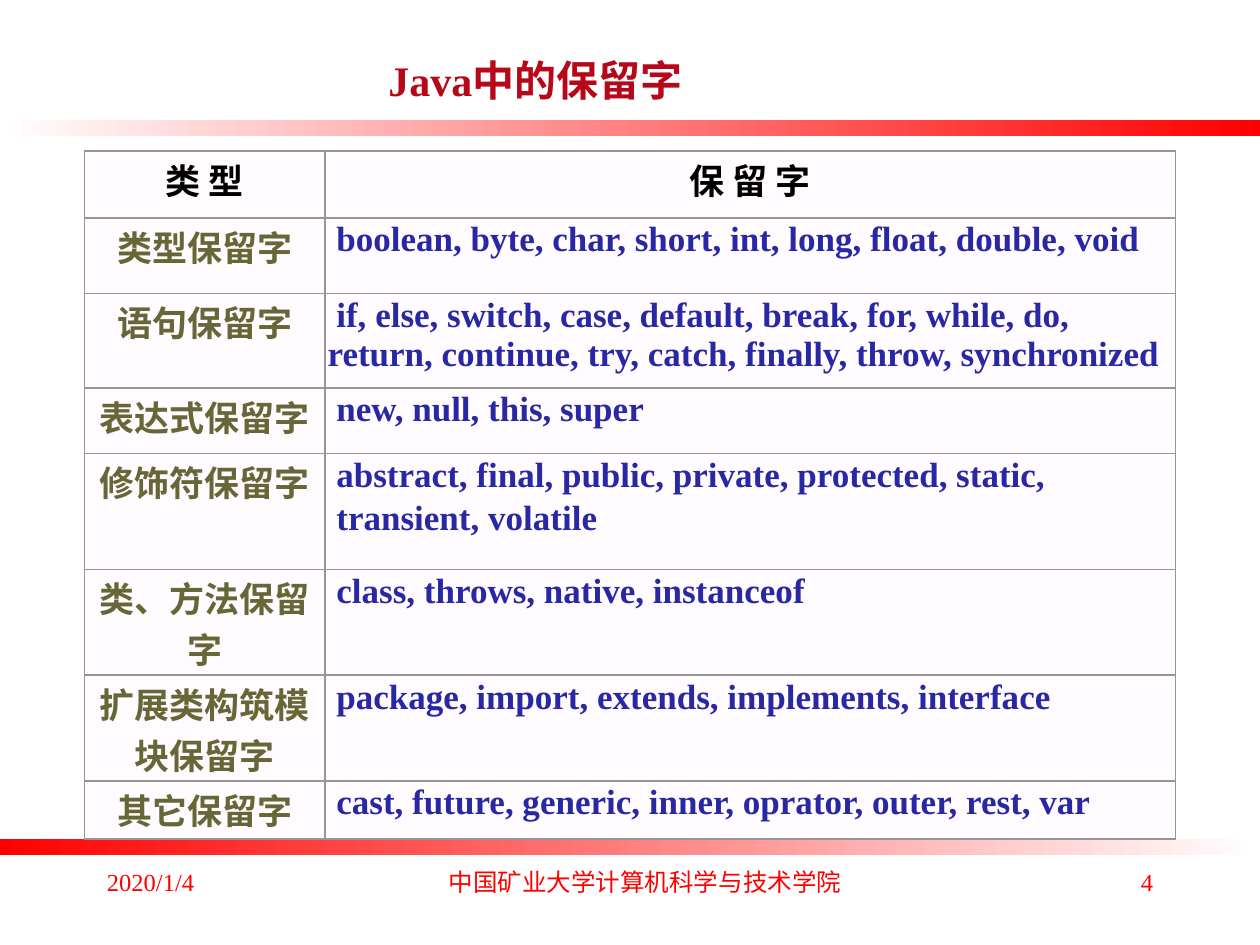
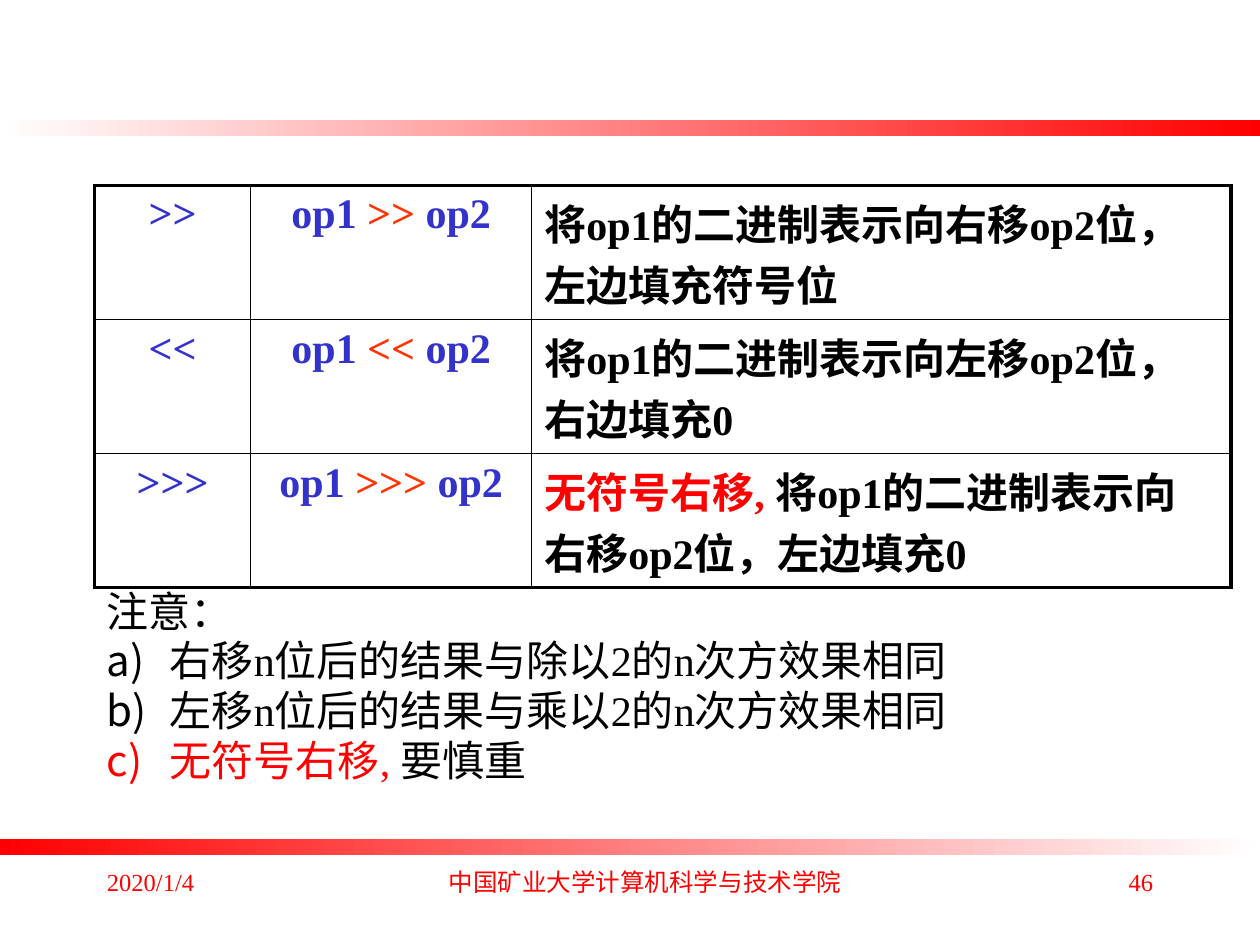
from dataclasses import dataclass
from lxml.etree import SubElement
from pptx import Presentation
from pptx.dml.color import RGBColor
from pptx.enum.shapes import MSO_SHAPE
from pptx.enum.text import MSO_ANCHOR, PP_ALIGN
from pptx.oxml.ns import qn
from pptx.util import Emu, Inches, Pt

RED = RGBColor(0xFF, 0x00, 0x00)
WHITE = RGBColor(0xFF, 0xFF, 0xFF)
BLACK = RGBColor(0x00, 0x00, 0x00)
CRIMSON = RGBColor(0xB6, 0x08, 0x19)
OLIVE = RGBColor(0x67, 0x66, 0x37)
NAVY = RGBColor(0x28, 0x28, 0xA4)
BLUE = RGBColor(0x33, 0x33, 0xCC)
ORANGE = RGBColor(0xFF, 0x33, 0x00)
GRAY = RGBColor(0x96, 0x96, 0x96)
PALE = RGBColor(0xFF, 0xFB, 0xFE)

SERIF = "Times New Roman"
HAN = "Noto Sans CJK SC"
LEFT, MID, RIGHT = PP_ALIGN.LEFT, PP_ALIGN.CENTER, PP_ALIGN.RIGHT

WIDE, HIGH = Inches(10), Inches(7.5)
COLS, ROWS = 100, 75


@dataclass(frozen=True)
class Box:
    col: float
    row: float
    wide: float
    high: float


@dataclass(frozen=True)
class Run:
    text: str
    color: RGBColor
    face: str = SERIF


@dataclass(frozen=True)
class Para:
    runs: tuple[Run, ...]
    align: PP_ALIGN = LEFT
    gap: float = 0
    pitch: float = 1
    margin: float = 0
    indent: float = 0
    number: str = ""


@dataclass(frozen=True)
class Band:
    box: Box
    start: RGBColor
    end: RGBColor


@dataclass(frozen=True)
class Label:
    box: Box
    paras: tuple[Para, ...]
    size: float
    bold: bool = False
    anchor: MSO_ANCHOR = MSO_ANCHOR.TOP


@dataclass(frozen=True)
class Grid:
    col: float
    row: float
    cols: tuple[float, ...]
    rows: tuple[float, ...]
    cells: tuple[tuple[tuple[Para, ...], ...], ...]
    size: float
    fill: RGBColor
    line: RGBColor
    inner: float
    outer: float
    inset: tuple[float, float]


def across(cols: float) -> Emu:
    return Emu(round(WIDE * cols / COLS))


def down(rows: float) -> Emu:
    return Emu(round(HIGH * rows / ROWS))


def place(box: Box) -> tuple[Emu, Emu, Emu, Emu]:
    return across(box.col), down(box.row), across(box.wide), down(box.high)


def write(frame, paras: tuple[Para, ...], size: float, bold: bool) -> None:
    frame.word_wrap = True
    for i, item in enumerate(paras):
        para = frame.paragraphs[0] if i == 0 else frame.add_paragraph()
        props = para._p.get_or_add_pPr()
        props.set("marL", str(across(item.margin)))
        props.set("indent", str(across(item.indent)))
        if item.number:
            SubElement(props, qn("a:buFont")).set("typeface", HAN)
            SubElement(props, qn("a:buAutoNum")).set("type", item.number)
        para.alignment = item.align
        para.line_spacing = item.pitch
        if i:
            para.space_before = Pt(item.gap)
        for part in item.runs:
            run = para.add_run()
            run.text = part.text
            run.font.name = part.face
            run.font.size = Pt(size)
            run.font.bold = bold
            run.font.color.rgb = part.color
            SubElement(run._r.get_or_add_rPr(), qn("a:ea")).set("typeface", HAN)


def draw_band(slide, band: Band) -> None:
    shape = slide.shapes.add_shape(MSO_SHAPE.RECTANGLE, *place(band.box))
    shape.shadow.inherit = False
    shape.line.fill.background()
    shape.fill.gradient()
    shape.fill.gradient_angle = 0
    for stop, color in zip(shape.fill.gradient_stops, (band.start, band.end)):
        stop.color.rgb = color


def draw_label(slide, label: Label) -> None:
    frame = slide.shapes.add_textbox(*place(label.box)).text_frame
    frame.vertical_anchor = label.anchor
    write(frame, label.paras, label.size, label.bold)


def edge(cell, side: str, width: float, color: RGBColor) -> None:
    line = SubElement(cell._tc.get_or_add_tcPr(), qn(f"a:ln{side}"))
    line.set("w", str(Pt(width)))
    fill = SubElement(line, qn("a:solidFill"))
    SubElement(fill, qn("a:srgbClr")).set("val", str(color))


def draw_grid(slide, grid: Grid) -> None:
    box = Box(grid.col, grid.row, sum(grid.cols), sum(grid.rows))
    tall, broad = len(grid.rows), len(grid.cols)
    table = slide.shapes.add_table(tall, broad, *place(box)).table
    table.first_row = table.horz_banding = False
    for col, wide in zip(table.columns, grid.cols):
        col.width = across(wide)
    for row, high in zip(table.rows, grid.rows):
        row.height = down(high)
    for r, line in enumerate(grid.cells):
        for c, paras in enumerate(line):
            cell = table.cell(r, c)
            rims = {"L": c == 0, "R": c == broad - 1, "T": r == 0, "B": r == tall - 1}
            for side, rim in rims.items():
                edge(cell, side, grid.outer if rim else grid.inner, grid.line)
            cell.fill.solid()
            cell.fill.fore_color.rgb = grid.fill
            cell.margin_left = cell.margin_right = across(grid.inset[0])
            cell.margin_top = cell.margin_bottom = down(grid.inset[1])
            write(cell.text_frame, paras, grid.size, True)


def one(text: str, color: RGBColor, align: PP_ALIGN = LEFT, face: str = SERIF) -> tuple[Para, ...]:
    return (Para((Run(text, color, face),), align),)


BANDS = (
    Band(Box(0, 9.5, 100, 1.3), WHITE, RED),
    Band(Box(0, 66.6, 100, 1.3), RED, WHITE),
)


def start(deck, number: int):
    slide = deck.slides.add_slide(deck.slide_layouts[6])
    for band in BANDS:
        draw_band(slide, band)
    foot = (
        (7.5, 20.8, one("2020/1/4", RED)),
        (34.2, 34, one("中国矿业大学计算机科学与技术学院", RED, MID, HAN)),
        (71.7, 20.8, one(str(number), RED, RIGHT)),
    )
    for col, wide, paras in foot:
        draw_label(slide, Label(Box(col, 68.3, wide, 5), paras, 14))
    return slide


WORDS = (
    ("类型保留字", "boolean, byte, char, short, int, long, float, double, void"),
    ("语句保留字", "if, else, switch, case, default, break, for, while, do, "
     "return, continue, try, catch, finally, throw, synchronized"),
    ("表达式保留字", "new, null, this, super"),
    ("修饰符保留字", "abstract, final, public, private, protected, static,",
     "transient, volatile"),
    ("类、方法保留字", "class, throws, native, instanceof"),
    ("扩展类构筑模块保留字", "package, import, extends, implements, interface"),
    ("其它保留字", "cast, future, generic, inner, oprator, outer, rest, var"),
)


def word_row(kind: str, *lines: str) -> tuple[tuple[Para, ...], ...]:
    words = tuple(
        Para((Run(text, NAVY),), gap=4.4, pitch=0.9 if i else 1, indent=0.7)
        for i, text in enumerate(lines)
    )
    return one(kind, OLIVE, MID, HAN), words


def words_slide(deck) -> None:
    slide = start(deck, 4)
    title = one("Java中的保留字", CRIMSON, MID)
    draw_label(slide, Label(Box(0, 3.8, 85, 5), title, 24, True, MSO_ANCHOR.MIDDLE))
    head = tuple(one(text, BLACK, MID, HAN) for text in ("类 型", "保 留 字"))
    draw_grid(slide, Grid(
        6.7, 12, (19.1, 67.5), (5.3, 6, 7.5, 5.2, 9.2, 8.4, 8.4, 4.6),
        (head, *(word_row(*row) for row in WORDS)),
        20, PALE, GRAY, 1, 1, (0.2, 0.2)))


SHIFTS = (
    (">>", (Run("将op1的二进制表示向右移op2位，左边填充符号位", BLACK),)),
    ("<<", (Run("将op1的二进制表示向左移op2位，右边填充0", BLACK),)),
    (">>>", (Run("无符号右移, ", RED),
             Run("将op1的二进制表示向右移op2位，左边填充0", BLACK))),
)

NOTES = (
    (Run("右移n位后的结果与除以2的n次方效果相同", BLACK),),
    (Run("左移n位后的结果与乘以2的n次方效果相同", BLACK),),
    (Run("无符号右移, ", RED), Run("要慎重", BLACK)),
)


def shift_row(sign: str, runs: tuple[Run, ...]) -> tuple[tuple[Para, ...], ...]:
    usage = (Run("op1 ", BLUE), Run(f"{sign} ", ORANGE), Run("op2", BLUE))
    return one(sign, BLUE, MID), (Para(usage, MID),), (Para(runs),)


def shifts_slide(deck) -> None:
    slide = start(deck, 46)
    draw_grid(slide, Grid(
        7.5, 14.7, (12.4, 22.3, 55.5), (10.65,) * len(SHIFTS),
        tuple(shift_row(*row) for row in SHIFTS),
        24, WHITE, BLACK, 1, 2.25, (1, 0.5)))
    lead = Para((Run("注意：", BLACK),), pitch=0.9)
    notes = tuple(
        Para(runs, gap=2.5, pitch=0.9, margin=5, indent=-5, number="alphaLcParenR")
        for runs in NOTES
    )
    draw_label(slide, Label(Box(7.5, 46.4, 76.8, 17.2), (lead, *notes), 24))


def main() -> None:
    deck = Presentation()
    deck.slide_width, deck.slide_height = WIDE, HIGH
    words_slide(deck)
    shifts_slide(deck)
    deck.save("out.pptx")


if __name__ == "__main__":
    main()
